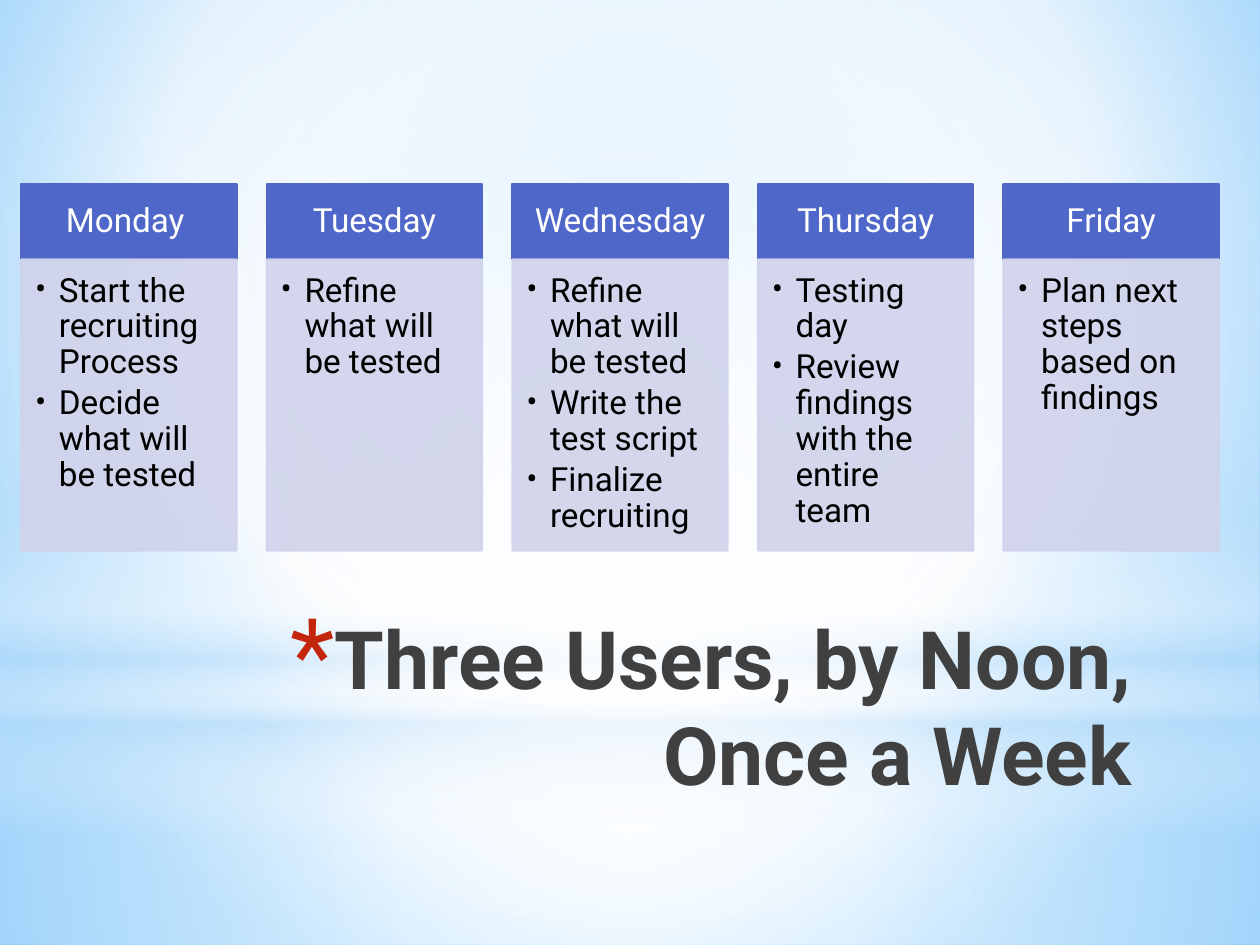
import pptx
import pptx.dml.color
import pptx.enum.shapes
import pptx.enum.text
import pptx.oxml
import pptx.oxml.ns
import pptx.util
from pptx.util import Cm


class Theme:
    font = "Roboto"
    header = "4E67C8"
    card = "D0D3EB"
    header_text = "FFFFFF"
    card_text = "000000"
    title_text = "404040"
    star = "C3260C"
    white = "FFFFFF"
    haze = "B4DCFA"
    sky = "9ED5FF"
    deep_sky = "5BB9FF"
    card_opacity = 90
    text_size = 19
    title_size = 46


RGB = pptx.dml.color.RGBColor.from_string
SHAPES = pptx.enum.shapes.MSO_SHAPE
ANCHOR = pptx.enum.text.MSO_ANCHOR
ALIGN = pptx.enum.text.PP_ALIGN
NS = pptx.oxml.ns.nsdecls("a")
qn = pptx.oxml.ns.qn


def fill_gradient(filled, stops, direction):
    """Turn the solid fill inside an element into a gradient of (percent, colour, opacity) stops."""
    stop_xml = "".join(
        f'<a:gs pos="{position * 1000}"><a:srgbClr val="{color}">'
        f'<a:alpha val="{opacity * 1000}"/></a:srgbClr></a:gs>'
        for position, color, opacity in stops)
    gradient = pptx.oxml.parse_xml(
        f'<a:gradFill {NS} rotWithShape="1"><a:gsLst>{stop_xml}</a:gsLst>{direction}</a:gradFill>')
    solid = filled.find(".//" + qn("a:solidFill"))
    solid.getparent().replace(solid, gradient)


def format_paragraph(paragraph, color, size, bold=False, bullet=None, indent=0, bullet_style=""):
    properties = paragraph._p.get_or_add_pPr()
    if bullet:
        properties.set("marL", str(indent))
        properties.set("indent", str(-indent))
        for tag in (bullet_style, f'<a:buFont {NS} typeface="{Theme.font}"/>',
                    f'<a:buChar {NS} char="{bullet}"/>'):
            if tag:
                properties.append(pptx.oxml.parse_xml(tag))
    for run in paragraph.runs:
        run.font.name = Theme.font
        run.font.size = pptx.util.Pt(size)
        run.font.bold = bold
        run.font.color.rgb = RGB(color)


deck = pptx.Presentation()
deck.slide_width, deck.slide_height = Cm(25.4), Cm(19.05)
slide = deck.slides.add_slide(deck.slide_layouts[5])

# Sky backdrop
radial = ('<a:path path="circle"><a:fillToRect l="{}000" t="{}000" r="{}000" b="{}000"/></a:path>')
centred = radial.format(50, 50, 50, 50)
slide.background.fill.solid()
fill_gradient(slide.background._cSld,
              [(0, Theme.sky, 100), (60, Theme.white, 100), (100, Theme.deep_sky, 100)],
              radial.format(20, 10, 20, 60))

white, haze = Theme.white, Theme.haze
backdrop = [
    (SHAPES.RECTANGLE, 14.17, 4.88, [(0, white, 91), (37, white, 76), (100, haze, 79)], centred),
    (SHAPES.RECTANGLE, 0, 14.17, [(0, white, 89), (48, white, 62), (100, haze, 79)], centred),
    (SHAPES.RECTANGLE, 10.46, 6.35,
     [(0, white, 0), (29, white, 30), (45, haze, 40), (55, white, 26), (65, haze, 60),
      (100, white, 0)], '<a:lin ang="5400000" scaled="0"/>'),
    (SHAPES.OVAL, 4.45, 14.17, [(0, white, 100), (56, white, 0)], centred),
]
for outline, top, height, stops, direction in backdrop:
    glow = slide.shapes.add_shape(outline, 0, Cm(top), deck.slide_width, Cm(height))
    glow.shadow.inherit = False
    glow.line.fill.background()
    glow.fill.solid()
    fill_gradient(glow._element.spPr, stops, direction)

# Week plan
week = [
    ("Monday\t", ["Start the recruiting Process", "Decide what will be tested"]),
    ("Tuesday", ["Refine what will be tested"]),
    ("Wednesday", ["Refine what will be tested", "Write the test script", "Finalize recruiting"]),
    ("Thursday", ["Testing day", "Review findings with the entire team"]),
    ("Friday", ["Plan next steps based on findings"]),
]
week_left, day_pitch, day_width = 0.43, 4.95, 4.34
header_top, header_height, card_height = 3.71, 1.52, 5.87

for index, (day, tasks) in enumerate(week):
    left = Cm(week_left + index * day_pitch)
    header = slide.shapes.add_shape(SHAPES.RECTANGLE, left, Cm(header_top),
                                    Cm(day_width), Cm(header_height))
    card = slide.shapes.add_shape(SHAPES.RECTANGLE, left, Cm(header_top + header_height),
                                  Cm(day_width), Cm(card_height))
    for part, lines, fill, color, align, anchor, insets, bullet, gap in (
            (header, [day], Theme.header, Theme.header_text, ALIGN.CENTER, ANCHOR.MIDDLE,
             (0.38, 0.2, 0.38, 0.2), None, 0.35),
            (card, tasks, Theme.card, Theme.card_text, ALIGN.LEFT, ANCHOR.TOP,
             (0.28, 0.28, 0.38, 0.43), "•", 0.15)):
        part.shadow.inherit = False
        part.fill.solid()
        part.fill.fore_color.rgb = RGB(fill)
        part.line.color.rgb = RGB(fill)
        part.line.width = pptx.util.Pt(1.25)
        frame = part.text_frame
        frame.word_wrap = True
        frame.vertical_anchor = anchor
        (frame.margin_left, frame.margin_top,
         frame.margin_right, frame.margin_bottom) = map(Cm, insets)
        frame.text = "\n".join(lines)
        for paragraph in frame.paragraphs:
            paragraph.alignment = align
            paragraph.line_spacing = 0.9
            paragraph.space_after = pptx.util.Pt(gap * Theme.text_size)
            format_paragraph(paragraph, color, Theme.text_size, bullet=bullet, indent=Cm(0.48))
    for color in card._element.spPr.iter(qn("a:srgbClr")):
        color.append(pptx.oxml.parse_xml(f'<a:alpha {NS} val="{Theme.card_opacity * 1000}"/>'))

# Title, in front of the backdrop
title = slide.shapes.title
title._element.getparent().append(title._element)
title.left, title.top, title.width, title.height = Cm(4.98), Cm(12.14), Cm(18.08), Cm(3.18)
title.text_frame.text = "Three Users, by Noon, Once a Week"
title.text_frame.word_wrap = True
title.text_frame.auto_size = pptx.enum.text.MSO_AUTO_SIZE.NONE
title.text_frame.vertical_anchor = ANCHOR.TOP
heading = title.text_frame.paragraphs[0]
heading.alignment = ALIGN.RIGHT
properties = heading._p.get_or_add_pPr()
properties.append(pptx.oxml.parse_xml(
    f'<a:buClr {NS}><a:srgbClr val="{Theme.star}"/></a:buClr>'))
format_paragraph(heading, Theme.title_text, Theme.title_size, bold=True, bullet="*",
                 indent=Cm(0.89), bullet_style=f'<a:buSzPct {NS} val="128000"/>')

deck.save("out.pptx")
